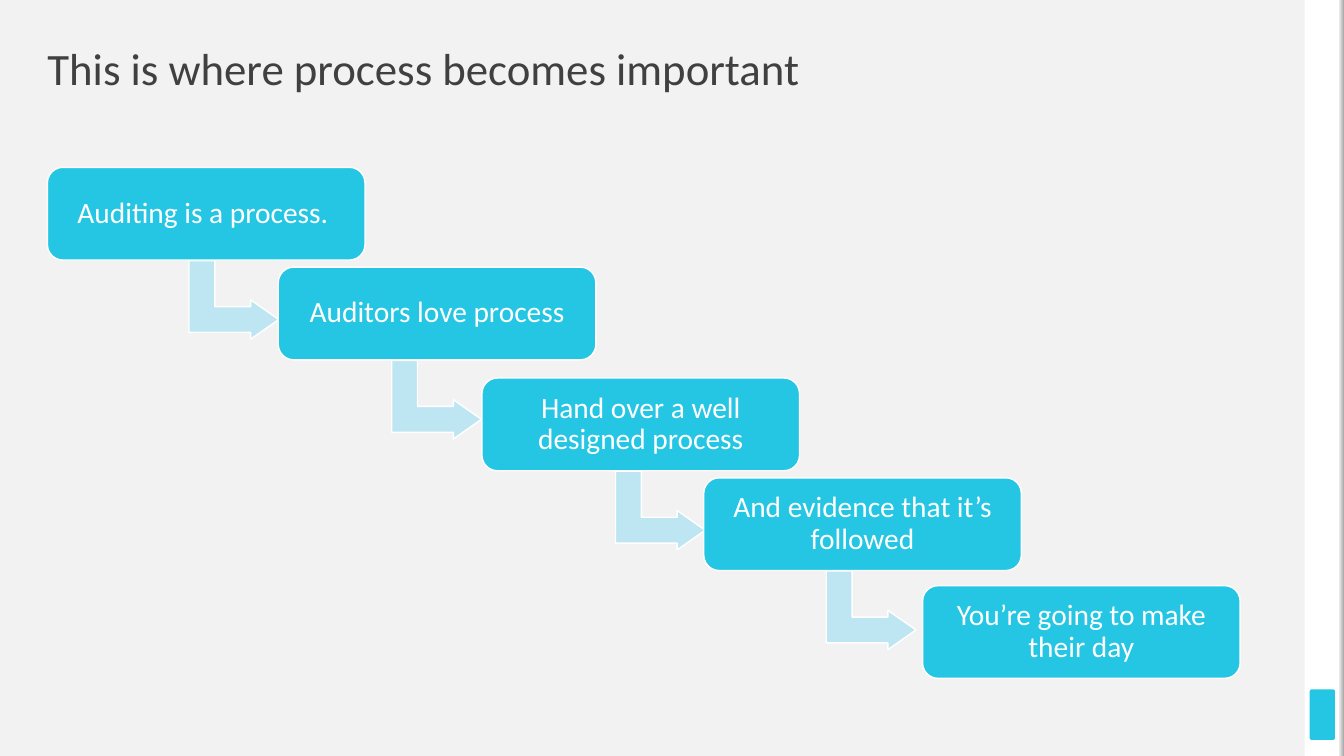
"""Build a slide showing the auditing process as a descending staircase."""
from dataclasses import dataclass
from typing import Optional

from pptx import Presentation
from pptx import util as u
from pptx.dml.color import RGBColor
from pptx.enum import shapes, text


@dataclass(frozen=True)
class Theme:
    """Colours, font and type sizes of the slide."""
    background: str = "F2F2F2"
    accent: str = "25C6E3"
    arrow: str = "BEE5F2"
    white: str = "FFFFFF"
    edge: str = "A6A6A6"
    title: str = "404040"
    font: str = "Calibri"
    title_size: float = 32
    step_size: float = 21


@dataclass(frozen=True)
class Step:
    """One box of the staircase and the left edge of the arrow below it."""
    label: str
    left: float
    top: float
    arrow_left: Optional[float] = None


THEME = Theme()
BOX_WIDTH, BOX_HEIGHT = 3.15, 0.92
ARROW_WIDTH, ARROW_HEIGHT, ARROW_DROP = 0.78, 0.89, 0.87
STEPS = [
    Step("Auditing is a process. ", 0.47, 1.66, 1.93),
    Step("Auditors love process", 2.76, 2.65, 3.94),
    Step("Hand over a well designed process", 4.78, 3.75, 6.16),
    Step("And evidence that it’s followed", 6.98, 4.74, 8.25),
    Step("You’re going to make their day", 9.15, 5.81),
]


def write_text(shape, words: str, *, size: float, color: str, align, inset: float) -> None:
    """Put one formatted paragraph into a shape."""
    frame = shape.text_frame
    frame.word_wrap = True
    frame.auto_size = text.MSO_AUTO_SIZE.NONE
    frame.vertical_anchor = text.MSO_ANCHOR.MIDDLE
    frame.margin_left = frame.margin_right = u.Inches(inset)
    frame.margin_top = frame.margin_bottom = u.Inches(inset)
    paragraph = frame.paragraphs[0]
    paragraph.alignment = align
    paragraph.line_spacing = 0.9
    run = paragraph.add_run()
    run.text = words
    run.font.name = THEME.font
    run.font.size = u.Pt(size)
    run.font.color.rgb = RGBColor.from_string(color)


def add_shape(slide, kind, left: float, top: float, width: float, height: float, *,
              fill: str, line: Optional[str] = None, adjustments: tuple = ()):
    """Add a flat preset shape with an optional one-point outline."""
    shape = slide.shapes.add_shape(
        kind, u.Inches(left), u.Inches(top), u.Inches(width), u.Inches(height))
    shape.shadow.inherit = False
    shape.fill.solid()
    shape.fill.fore_color.rgb = RGBColor.from_string(fill)
    if line:
        shape.line.color.rgb = RGBColor.from_string(line)
        shape.line.width = u.Pt(1)
    else:
        shape.line.fill.background()
    for index, value in enumerate(adjustments):
        shape.adjustments[index] = value
    return shape


def add_side_panel(slide) -> None:
    """Draw the white panel, its shaded edge and the accent tab."""
    rectangle = shapes.MSO_SHAPE.RECTANGLE
    add_shape(slide, rectangle, 12.94, 0, 0.39, 7.5, fill=THEME.white)
    add_shape(slide, shapes.MSO_SHAPE.ROUNDED_RECTANGLE, 12.99, 6.84, 0.25, 0.5,
              fill=THEME.accent, adjustments=(0.074,))
    edge = add_shape(slide, rectangle, 13.28, 0, 0.05, 7.5, fill=THEME.edge)
    edge.fill.gradient()
    edge.fill.gradient_angle = 0
    for stop, color in zip(edge.fill.gradient_stops, (THEME.background, THEME.edge)):
        stop.color.rgb = RGBColor.from_string(color)


def add_step(slide, step: Step) -> None:
    """Draw one step, with the arrow that leads to the next one behind it."""
    if step.arrow_left is not None:
        arrow = add_shape(slide, shapes.MSO_SHAPE.BENT_UP_ARROW, step.arrow_left,
                          step.top + ARROW_DROP, ARROW_WIDTH, ARROW_HEIGHT, fill=THEME.arrow,
                          line=THEME.white, adjustments=(0.328, 0.25, 0.358))
        arrow.rotation = 90
    box = add_shape(slide, shapes.MSO_SHAPE.ROUNDED_RECTANGLE, step.left, step.top,
                    BOX_WIDTH, BOX_HEIGHT, fill=THEME.accent, line=THEME.white,
                    adjustments=(0.167,))
    write_text(box, step.label, size=THEME.step_size, color=THEME.white,
               align=text.PP_ALIGN.CENTER, inset=0.09)


def main() -> None:
    """Create and save the presentation."""
    presentation = Presentation()
    presentation.slide_width, presentation.slide_height = u.Inches(13.33), u.Inches(7.5)
    slide = presentation.slides.add_slide(presentation.slide_layouts.get_by_name("Title Only"))
    slide.background.fill.solid()
    slide.background.fill.fore_color.rgb = RGBColor.from_string(THEME.background)
    title = slide.shapes.title
    title.left, title.top = u.Inches(0.47), u.Inches(0.47)
    title.width, title.height = u.Inches(8.61), u.Inches(0.47)
    write_text(title, "This is where process becomes important", size=THEME.title_size,
               color=THEME.title, align=text.PP_ALIGN.LEFT, inset=0)
    add_side_panel(slide)
    for step in STEPS:
        add_step(slide, step)
    presentation.save("out.pptx")


if __name__ == "__main__":
    main()
